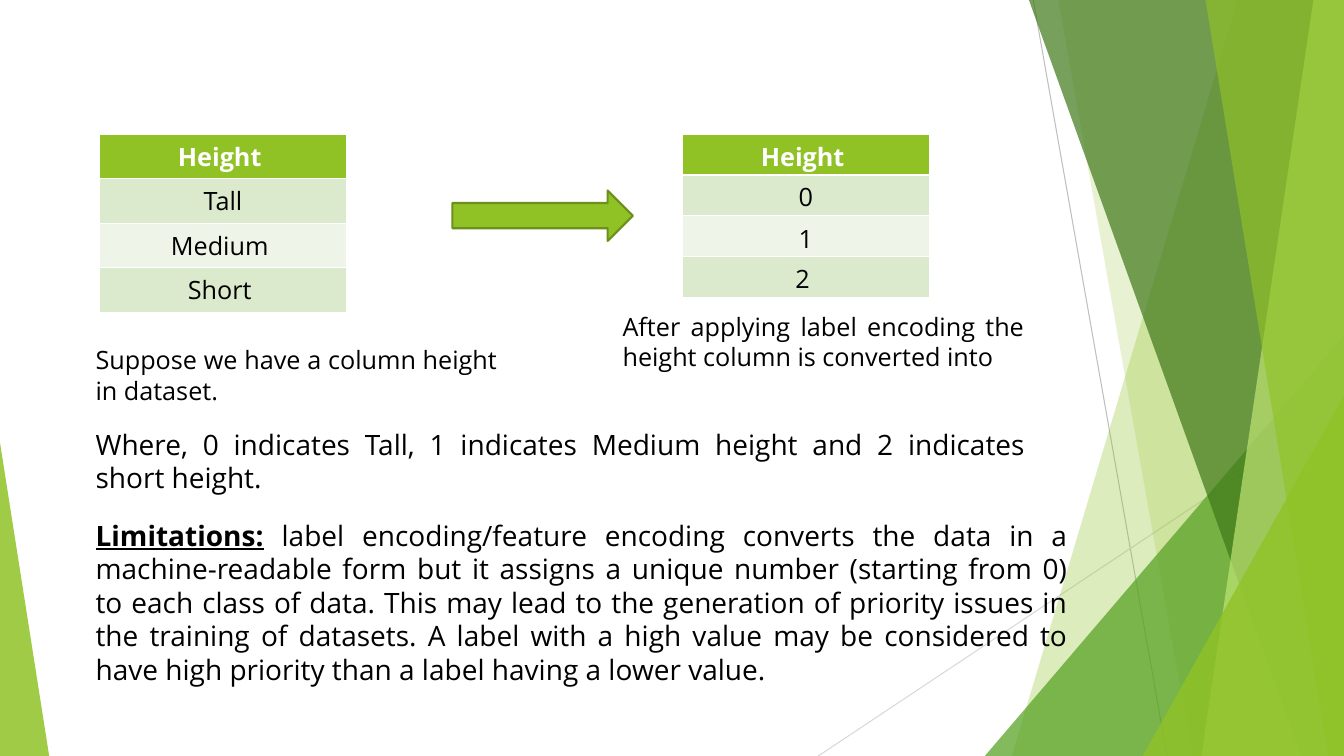
from lxml.etree import SubElement
from pptx import Presentation
from pptx.dml.color import RGBColor
from pptx.enum.shapes import MSO_CONNECTOR, MSO_SHAPE
from pptx.enum.text import MSO_ANCHOR, MSO_AUTO_SIZE, PP_ALIGN
from pptx.oxml.ns import qn
from pptx.util import Cm, Pt

FONT = "Open Sans"
WIDTH, HEIGHT = 33.87, 19.05
GREEN = RGBColor(0x90, 0xC2, 0x26)
GRASS = RGBColor(0x54, 0xA0, 0x21)
FOREST = RGBColor(0x3F, 0x78, 0x19)
LIME = RGBColor(0xC0, 0xE4, 0x74)
OLIVE = RGBColor(0x6B, 0x90, 0x1C)
BAND_DARK = RGBColor(0xDB, 0xE9, 0xCD)
BAND_LIGHT = RGBColor(0xEE, 0xF4, 0xE8)
GRAY = RGBColor(0xBF, 0xBF, 0xBF)
PALE_GRAY = RGBColor(0xD9, 0xD9, 0xD9)
WHITE = RGBColor(0xFF, 0xFF, 0xFF)
BLACK = RGBColor(0, 0, 0)

# All lengths are in centimetres.
# Table: left, row height, bottom cell margin, rows
TABLES = [
    (2.51, 1.11, 0.13, ["Height ", "Tall", "Medium ", "Short "]),
    (17.2, 1.03, 0.03, ["Height ", "0", "1", "2 "]),
]
TABLE_TOP, TABLE_WIDTH = 3.38, 6.22

# Text box: left, top, width, height, size, underlined lead, text
TEXTS = [
    (2.16, 8.56, 10.62, 1.8, 18, "", "Suppose we have a column height in dataset."),
    (15.44, 7.72, 10.62, 1.8, 18, "",
     "After applying label encoding the height column is converted into"),
    (2.16, 10.64, 23.93, 1.96, 20, "",
     "Where, 0 indicates Tall, 1 indicates Medium height and 2 indicates short height."),
    (2.16, 12.93, 25, 4.52, 20, "Limitations:",
     " label encoding/feature encoding converts the data in a machine-readable form "
     "but it assigns a unique number (starting from 0) to each class of data. This may "
     "lead to the generation of priority issues in the training of datasets. A label "
     "with a high value may be considered to have high priority than a label having a "
     "lower value. "),
]

LINES = [
    (26.04, 0, 29.41, HEIGHT, GRAY),
    (WIDTH, 10.24, 20.62, HEIGHT, PALE_GRAY),
]

# Band: left edge at the top, left edge at the bottom, colour, opacity
# Triangle: left, top, width, apex position, colour, opacity
BACKDROP = [
    ("band", 31.19, 25.5, GREEN, 30),
    ("band", 26.67, 30.05, GREEN, 20),
    ("triangle", 24.82, 8.46, 9.05, 1, GRASS, 72),
    ("band", 25.93, 32.79, FOREST, 70),
    ("band", 33.1, 30.28, LIME, 70),
    ("band", 30.38, 33.48, GREEN, 65),
    ("triangle", 28.8, 9.98, 5.07, 1, GREEN, 80),
    ("triangle", 0, 11.15, 1.24, 0, GREEN, 85),
]


def paint(shape, color, opacity):
    """Give a backdrop shape a translucent fill without outline or shadow."""
    shape.shadow.inherit = False
    shape.line.fill.background()
    shape.fill.solid()
    shape.fill.fore_color.rgb = color
    color_element = shape.fill._xPr.find(qn("a:solidFill"))[0]
    SubElement(color_element, qn("a:alpha")).set("val", str(opacity * 1000))


def add_band(slide, top_left, bottom_left, color, opacity):
    """Add a slanted band that reaches the right edge of the slide."""
    builder = slide.shapes.build_freeform(Cm(top_left), 0)
    corners = [(WIDTH, 0), (WIDTH, HEIGHT), (bottom_left, HEIGHT)]
    builder.add_line_segments([(Cm(x), Cm(y)) for x, y in corners], close=True)
    paint(builder.convert_to_shape(), color, opacity)


def add_triangle(slide, left, top, width, apex, color, opacity):
    """Add a right triangle that stands on the bottom edge of the slide."""
    shape = slide.shapes.add_shape(MSO_SHAPE.ISOSCELES_TRIANGLE, Cm(left), Cm(top),
                                   Cm(width), Cm(HEIGHT - top))
    shape.adjustments[0] = apex
    paint(shape, color, opacity)


def add_line(slide, x1, y1, x2, y2, color):
    """Add a thin straight line without shadow."""
    line = slide.shapes.add_connector(MSO_CONNECTOR.STRAIGHT, Cm(x1), Cm(y1), Cm(x2), Cm(y2))
    line.line.color.rgb = color
    line.line.width = Pt(0.75)
    SubElement(line._element.spPr, qn("a:effectLst"))


def add_height_table(slide, left, row_height, bottom_margin, rows):
    """Add a one-column table with a header and banded rows."""
    table = slide.shapes.add_table(len(rows), 1, Cm(left), Cm(TABLE_TOP), Cm(TABLE_WIDTH),
                                   Cm(row_height * len(rows))).table
    for index, text in enumerate(rows):
        is_header = index == 0
        table.rows[index].height = Cm(row_height)
        cell = table.cell(index, 0)
        cell.text = text
        cell.margin_bottom = Cm(bottom_margin)
        if index == 2:
            cell.vertical_anchor = MSO_ANCHOR.BOTTOM
        cell.fill.solid()
        band = BAND_DARK if index % 2 else BAND_LIGHT
        cell.fill.fore_color.rgb = GREEN if is_header else band
        paragraph = cell.text_frame.paragraphs[0]
        paragraph.alignment = PP_ALIGN.CENTER
        set_font(paragraph, 18, WHITE if is_header else BLACK)
        paragraph.font.bold = is_header


def set_font(paragraph, size, color):
    """Set typeface, size and colour of a paragraph."""
    paragraph.font.name = FONT
    paragraph.font.size = Pt(size)
    paragraph.font.color.rgb = color


def add_text(slide, left, top, width, height, size, lead, text):
    """Add a justified text box, with an optional bold underlined lead."""
    frame = slide.shapes.add_textbox(Cm(left), Cm(top), Cm(width), Cm(height)).text_frame
    frame.word_wrap = True
    frame.auto_size = MSO_AUTO_SIZE.SHAPE_TO_FIT_TEXT
    paragraph = frame.paragraphs[0]
    paragraph.alignment = PP_ALIGN.JUSTIFY
    set_font(paragraph, size, BLACK)
    if lead:
        run = paragraph.add_run()
        run.text = lead
        run.font.bold = run.font.underline = True
    paragraph.add_run().text = text


def add_arrow(slide):
    """Add the arrow that leads from the first table to the second."""
    arrow = slide.shapes.add_shape(MSO_SHAPE.RIGHT_ARROW, Cm(11.4), Cm(4.8), Cm(4.55), Cm(1.27))
    arrow.shadow.inherit = False
    arrow.fill.solid()
    arrow.fill.fore_color.rgb = GREEN
    arrow.line.color.rgb = OLIVE
    arrow.line.width = Pt(1.5)


presentation = Presentation()
presentation.slide_width, presentation.slide_height = Cm(WIDTH), Cm(HEIGHT)
slide = presentation.slides.add_slide(presentation.slide_layouts[6])
for line in LINES:
    add_line(slide, *line)
for kind, *values in BACKDROP:
    (add_band if kind == "band" else add_triangle)(slide, *values)
for table in TABLES:
    add_height_table(slide, *table)
add_arrow(slide)
for text in TEXTS:
    add_text(slide, *text)
presentation.save("out.pptx")
